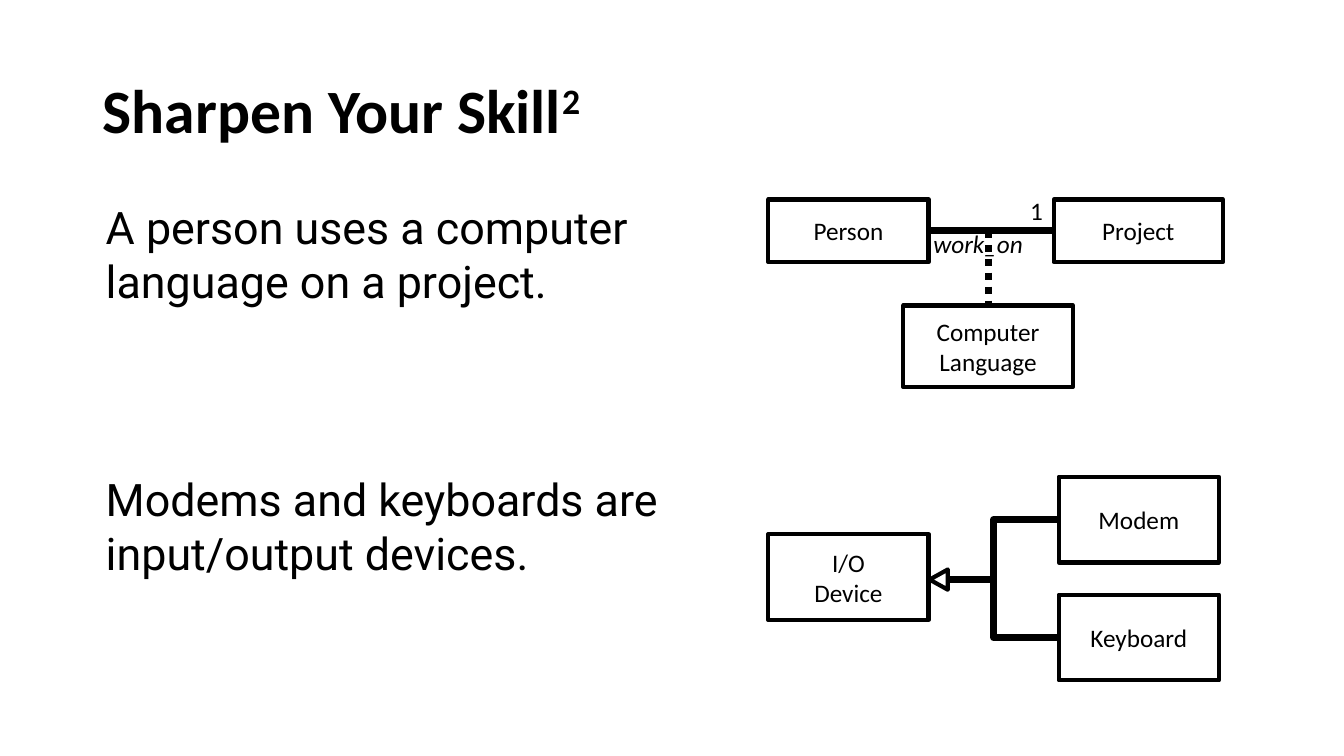
"""Build a slide with two small class diagrams beside the sentences they model."""
from lxml import etree
from pptx import Presentation
from pptx import util as u
from pptx.dml import color
from pptx.enum import dml, shapes, text
from pptx.oxml import ns


def rgb(hex_code):
    return color.RGBColor.from_string(hex_code)


def write(frame, *lines, size=18, font="Calibri", ink="000000", bold=False,
          italic=False, align="LEFT", anchor="TOP", wrap=True, spacing=None):
    frame.word_wrap = wrap
    frame.auto_size = text.MSO_AUTO_SIZE.NONE
    frame.vertical_anchor = getattr(text.MSO_ANCHOR, anchor)
    for number, line in enumerate(lines):
        paragraph = frame.add_paragraph() if number else frame.paragraphs[0]
        paragraph.alignment = getattr(text.PP_ALIGN, align)
        paragraph.line_spacing = spacing
        for position, part in enumerate(line.split("^")):
            run = paragraph.add_run()
            run.text = part
            run.font.size = u.Pt(size)
            run.font.name = font
            run.font.bold = bold
            run.font.italic = italic
            run.font.color.rgb = rgb(ink)
            if position:
                run._r.get_or_add_rPr().set("baseline", "30000")


class Diagram:
    ink, paper = "000000", "FFFFFF"
    border, stroke = 3, 5

    def __init__(self, slide):
        self.slide = slide

    def outline(self, kind, at, filled):
        shape = self.slide.shapes.add_shape(kind, *map(u.Inches, at))
        shape.shadow.inherit = False
        if filled:
            shape.fill.solid()
            shape.fill.fore_color.rgb = rgb(self.paper)
        else:
            shape.fill.background()
        shape.line.color.rgb = rgb(self.ink)
        shape.line.width = u.Pt(self.border)
        return shape

    def entity(self, at, *lines, filled=False):
        box = self.outline(shapes.MSO_SHAPE.RECTANGLE, at, filled)
        write(box.text_frame, *lines, align="CENTER", anchor="MIDDLE")
        return box

    def inheritance_mark(self, at):
        self.outline(shapes.MSO_SHAPE.ISOSCELES_TRIANGLE, at, True).rotation = 270

    def link(self, start, end, begin=None, finish=None, elbow=False, dotted=False):
        kind = shapes.MSO_CONNECTOR.ELBOW if elbow else shapes.MSO_CONNECTOR.STRAIGHT
        line = self.slide.shapes.add_connector(kind, *map(u.Inches, start + end))
        line.line.color.rgb = rgb(self.ink)
        line.line.width = u.Pt(self.stroke)
        if begin:
            line.begin_connect(*begin)
        if finish:
            line.end_connect(*finish)
        if dotted:
            line.line.dash_style = dml.MSO_LINE.ROUND_DOT
        if elbow:
            etree.SubElement(line.line._get_or_add_ln(), ns.qn("a:tailEnd"), type="triangle")
        etree.SubElement(line._element.spPr, ns.qn("a:effectLst"))

    def label(self, at, words, **style):
        box = self.slide.shapes.add_textbox(*map(u.Inches, at))
        write(box.text_frame, words, **style)

    def title(self, at, words, **style):
        heading = self.slide.shapes.title
        heading.left, heading.top, heading.width, heading.height = map(u.Inches, at)
        write(heading.text_frame, words, **style)


def main():
    deck = Presentation()
    deck.slide_width, deck.slide_height = u.Inches(13.33), u.Inches(7.5)
    diagram = Diagram(deck.slides.add_slide(deck.slide_layouts[5]))

    diagram.title((0.92, 0.4, 11.5, 1.45), "Sharpen Your Skill^2",
                  size=44, bold=True, anchor="MIDDLE", spacing=0.9)
    diagram.label((0.95, 1.93, 6.67, 1.18),
                  "A person uses a computer language on a project.", size=32, font="Roboto")
    diagram.label((0.95, 4.63, 5.92, 1.18),
                  "Modems and keyboards are input/output devices.", size=32, font="Roboto")

    person = diagram.entity((7.62, 1.98, 1.59, 0.62), "Person")
    project = diagram.entity((10.45, 1.98, 1.68, 0.62), "Project")
    language = diagram.entity((8.96, 3.03, 1.68, 0.81), "Computer", "Language")
    diagram.link((9.21, 2.29), (10.45, 2.29), (person, 3), (project, 1))
    diagram.link((9.8, 2.29), (9.8, 3.03), finish=(language, 0), dotted=True)
    diagram.label((10.12, 1.89, 0.33, 0.4), "1", wrap=False)
    diagram.label((9.16, 2.22, 1.1, 0.4), "work_on", italic=True, wrap=False)

    diagram.entity((7.62, 5.3, 1.59, 0.85), "I/O", "Device", filled=True)
    for device, top in (("Modem", 4.73), ("Keyboard", 5.9)):
        box = diagram.entity((10.5, top, 1.59, 0.85), device, filled=True)
        diagram.link((10.5, top + 0.42), (9.21, 5.75), (box, 1), elbow=True)
    diagram.inheritance_mark((9.21, 5.66, 0.2, 0.18))

    deck.save("out.pptx")


if __name__ == "__main__":
    main()
